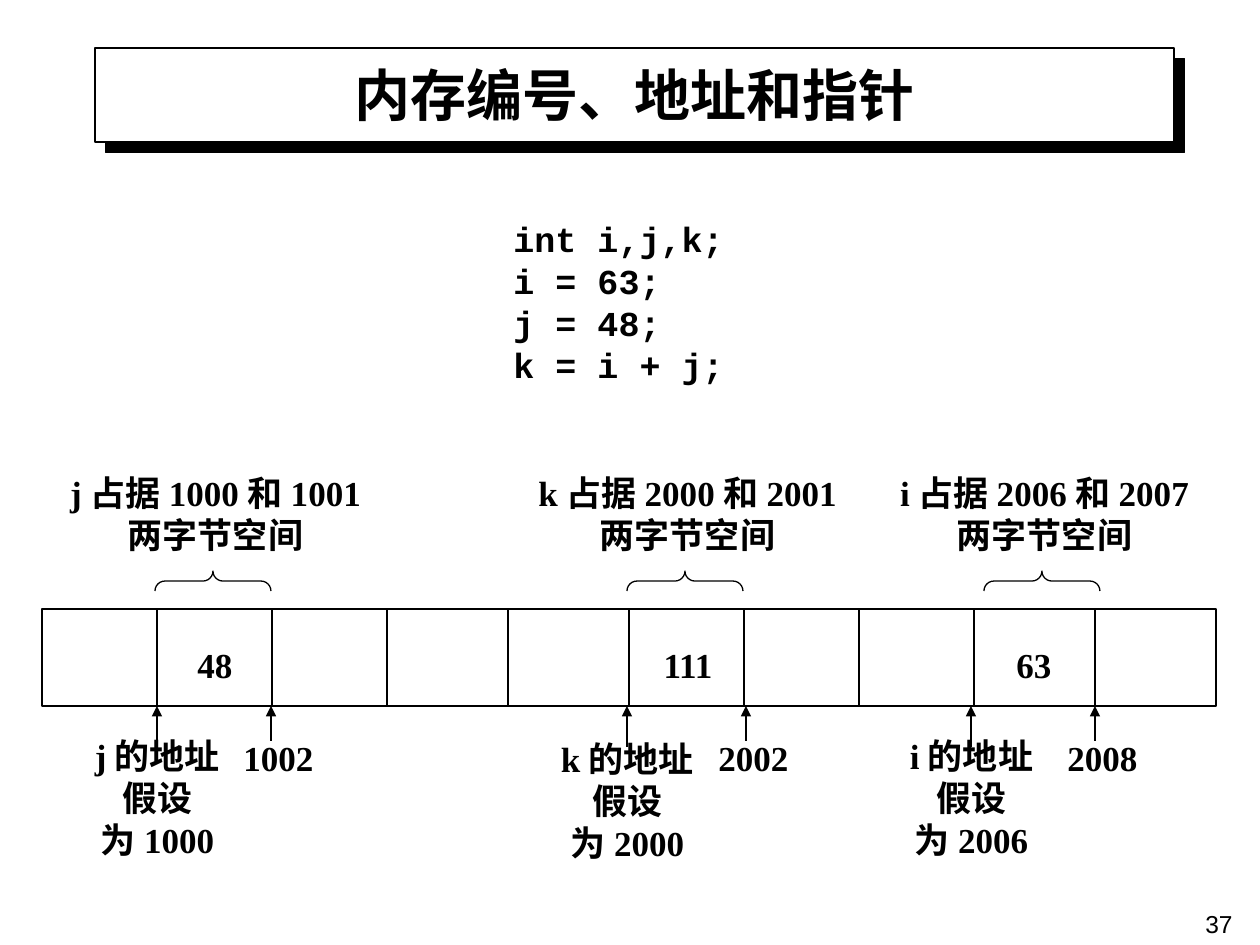
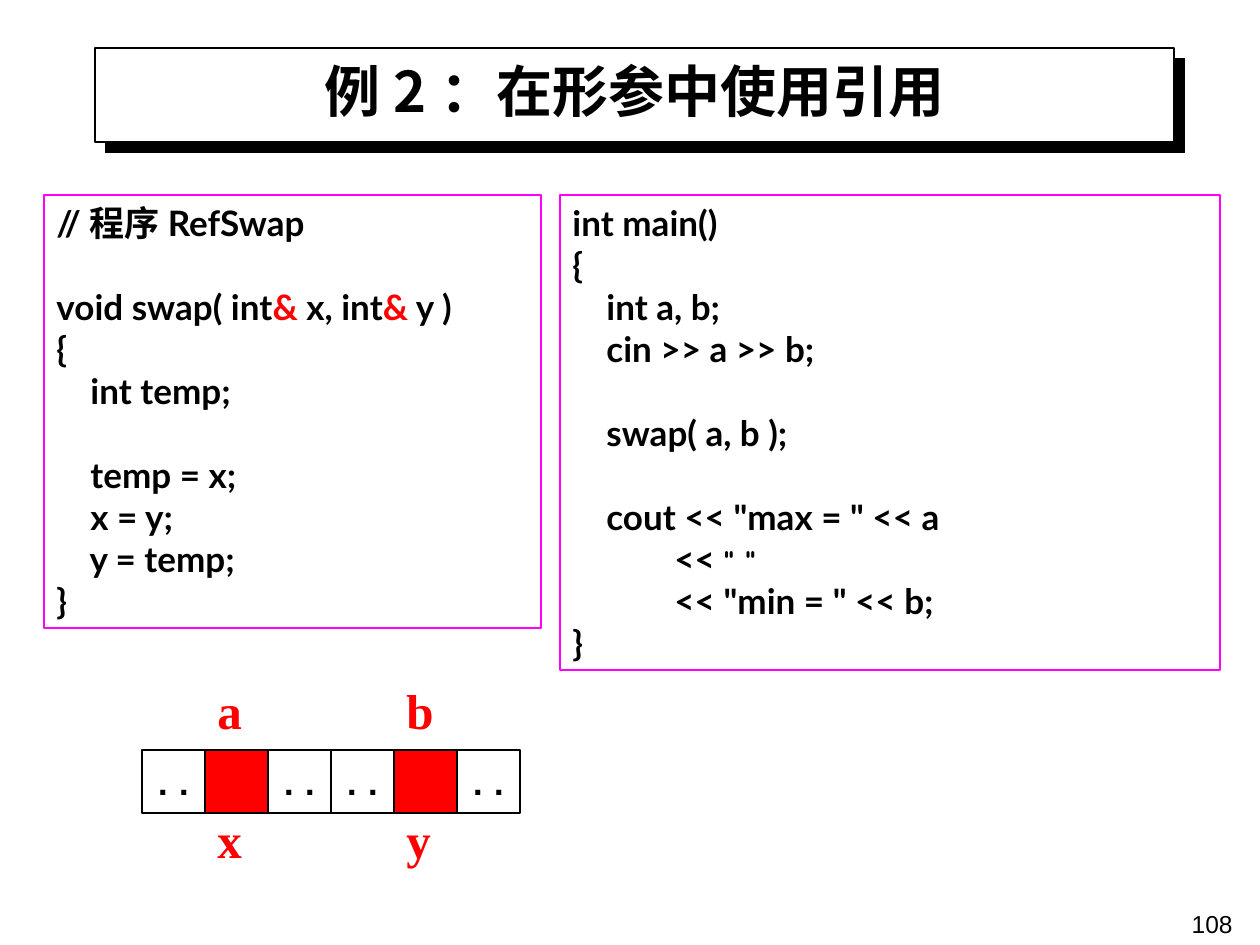
from lxml import etree
from pptx import Presentation
from pptx import util as u
from pptx.dml import color as clr
from pptx.enum import shapes, text
from pptx.oxml import ns

BLACK, WHITE, RED, PINK = "000000", "FFFFFF", "FF0000", "FF00FF"
HAN = "Noto Sans CJK SC"
BODY = {"name": "Times New Roman", "size": u.Pt(20), "bold": True, "color": BLACK}
CODE = BODY | {"name": "Courier New"}
LIST = BODY | {"name": "Lato"}
HEAD = BODY | {"name": HAN, "size": u.Pt(32)}
MARK = BODY | {"size": u.Pt(28), "color": RED}
PAGE = BODY | {"name": "Arial", "size": u.Pt(14), "bold": False}
LEAD = u.Pt(24)
LEFT, MID, RIGHT = text.PP_ALIGN.LEFT, text.PP_ALIGN.CENTER, text.PP_ALIGN.RIGHT
TOP, CENTER = text.MSO_ANCHOR.TOP, text.MSO_ANCHOR.MIDDLE
RECT = shapes.MSO_SHAPE.RECTANGLE


def px(*vals):
    return [u.Emu(round(v * 914400 / 126)) for v in vals]


def hue(code):
    return clr.RGBColor.from_string(code)


def sub(parent, tag, **attrs):
    return etree.SubElement(parent, ns.qn(tag), attrs)


def style(run, form):
    for key, val in form.items():
        if key == "color":
            run.font.color.rgb = hue(val)
        else:
            setattr(run.font, key, val)
    sub(run._r.get_or_add_rPr(), "a:ea", typeface=HAN)


def write(shape, lines, form, align=MID, anchor=CENTER, wrap=False, lead=LEAD):
    """Fill a shape; an empty line becomes space before the next one."""
    frame = shape.text_frame
    frame.word_wrap = wrap
    frame.vertical_anchor = anchor
    frame.auto_size = text.MSO_AUTO_SIZE.NONE
    gap, para = 0, None
    for line in lines:
        if not line:
            gap += LEAD
            continue
        para = frame.add_paragraph() if para else frame.paragraphs[0]
        para.alignment = align
        para.space_before = u.Emu(gap)
        if lead:
            para.line_spacing = lead
        gap = 0
        for words, extra in [(line, {})] if isinstance(line, str) else line:
            run = para.add_run()
            run.text = words
            style(run, form | extra)


def label(slide, box, lines, form=BODY, **opts):
    write(slide.shapes.add_textbox(*px(*box)), lines, form, **opts)


def block(slide, box, fill=None, line=BLACK, width=1, kind=RECT):
    shape = slide.shapes.add_shape(kind, *px(*box))
    shape.shadow.inherit = False
    if fill:
        shape.fill.solid()
        shape.fill.fore_color.rgb = hue(fill)
    else:
        shape.fill.background()
    shape.line.color.rgb = hue(line)
    shape.line.width = u.Pt(width)
    return shape


def rule(slide, x, start, end, arrow=False):
    line = slide.shapes.add_connector(
        shapes.MSO_CONNECTOR.STRAIGHT, *px(x, start, x, end))
    line.line.color.rgb = hue(BLACK)
    line.line.width = u.Pt(1)
    if arrow:
        sub(line.line._get_or_add_ln(), "a:tailEnd", type="triangle")
    sub(line._element.spPr, "a:effectLst")


def base(deck, title, top, page):
    """Slide with the shadowed title band and the page number."""
    slide = deck.slides.add_slide(deck.slide_layouts[5])
    band = block(slide, (95, 48, 1079, 94), WHITE, width=0.75)
    glow = sub(band._element.spPr.find(ns.qn("a:effectLst")), "a:outerShdw",
               blurRad="0", dist="107950", dir="2700000", rotWithShape="0")
    sub(glow, "a:srgbClr", val=BLACK)
    slide.shapes._spTree.insert(2, band._element)  # behind the title
    head = slide.shapes.title
    head.left, head.top, head.width, head.height = px(95, top, 1079, 90)
    write(head, [title], HEAD, wrap=True, lead=None)
    label(slide, (951, 903, 294, 66), [page], PAGE,
          align=RIGHT, anchor=TOP, wrap=True, lead=None)
    return slide


def strip(slide, x, y, w, h):
    """Memory row: two halves of five cells."""
    half = w // 2
    for left in (x, x + half):
        block(slide, (left, y, half, h))
        for step in (115, 230, 345, 466):
            rule(slide, left + step, y, y + h)


def owner(slide, y, h, name, addr, size, value, brace, start, end, mid, drop):
    """One variable's labels, brace and address arrows around the row."""
    base_y = y + h
    # Span above the row
    label(slide, (brace - 113, y - 137, 347, 82),
          [f"{name}占据{addr}和{addr + 1}", "两字节空间"])
    curl = block(slide, (brace + 48, y - 86, 20, 116), width=0.75,
                 kind=shapes.MSO_SHAPE.RIGHT_BRACE)
    curl.adjustments[0] = 0.5
    curl.rotation = 270
    # Value in the row
    label(slide, (mid - 27, y + 36, 54, 40), [value])
    # Addresses below the row
    rule(slide, start, base_y + 41, base_y, True)
    label(slide, (start - 73, base_y + drop, 147, 95),
          [f"{name}的地址", "假设", f"为{addr}"])
    rule(slide, end, base_y + 35, base_y, True)
    label(slide, (end - 19, base_y + 35, 53, 33), [str(addr + size)])


def memory(deck):
    slide = base(deck, "内存编号、地址和指针", 49, "37")
    label(slide, (501, 217, 246, 168),
          ["int i,j,k;", "i = 63;", "j = 48;", "k = i + j;"], CODE, align=LEFT)
    y, h = 609, 97
    strip(slide, 42, y, 1174, h)
    for item in (("j", 1000, 2, "48", 155, 157, 271, 215, 44),
                 ("k", 2000, 2, "111", 627, 627, 746, 688, 47),
                 ("i", 2006, 2, "63", 984, 971, 1095, 1034, 44)):
        owner(slide, y, h, *item)


def cells(slide, x, y, side):
    """Six cells; the shared ones are red, with both names."""
    names = {1: ("a", "x"), 4: ("b", "y")}
    for i in range(6):
        left = x + i * side
        cell = block(slide, (left, y, side, side), RED if i in names else None,
                     width=1.5)
        if i not in names:
            write(cell, [".."], CODE, lead=None)
            continue
        for name, top in zip(names[i], (y - 72, y + 57)):
            label(slide, (left, top, 54, 63), [name], MARK, align=LEFT, lead=None)


def swap(deck):
    slide = base(deck, "例2：在形参中使用引用", 45, "108")
    amp = ("&", {"color": RED})
    func = ["//程序RefSwap", "",
            [("void swap( int", {}), amp, (" x, int", {}), amp, (" y )", {})],
            "{", "    int temp;", "", "    temp = x;", "    x = y;",
            "    y = temp;", "}"]
    main_code = ["int main()", "{", "    int a, b;", "    cin >> a >> b;", "",
                 "    swap( a, b );", "", '    cout << "max = " << a',
                 [("            << ", {}),
                  ('" "', {"name": "Comic Neue", "size": u.Pt(18)})],
                 '            << "min = " << b;', "}"]
    for box, lines in (((44, 195, 497, 433), func),
                       ((560, 195, 660, 475), main_code)):
        write(block(slide, box, line=PINK, width=0.75), lines, LIST,
              align=LEFT, anchor=TOP, wrap=True)
    cells(slide, 142, 750, 63)


def main():
    deck = Presentation()
    deck.slide_width, deck.slide_height = px(1260, 945)
    memory(deck)
    swap(deck)
    deck.save("out.pptx")


if __name__ == "__main__":
    main()
